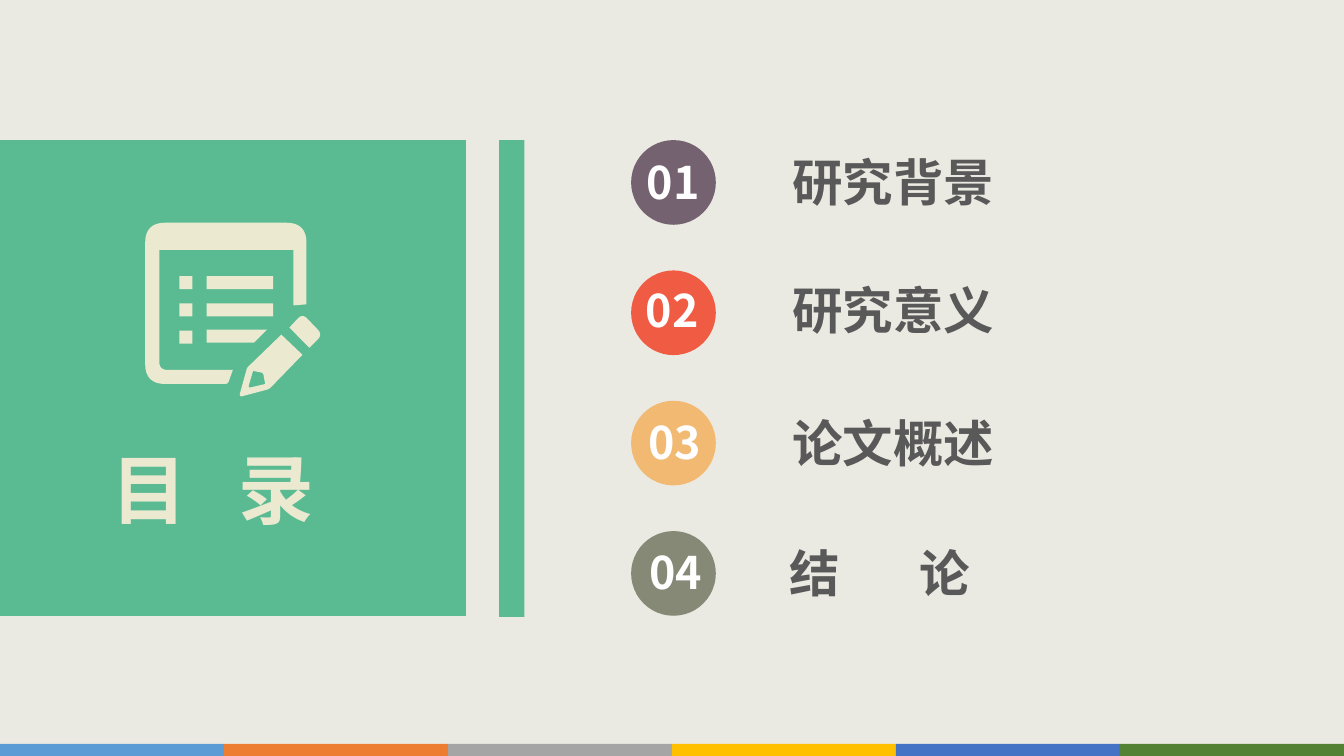
"""Build the contents slide of a thesis presentation."""
from lxml.etree import SubElement
from pptx import Presentation
from pptx.dml.color import RGBColor
from pptx.enum.shapes import MSO_SHAPE
from pptx.enum.text import PP_ALIGN
from pptx.oxml.ns import qn
from pptx.util import Inches
from pptx.util import Pt
from dataclasses import dataclass
from math import dist


@dataclass(frozen=True)
class Theme:
    font: str = "Noto Sans CJK SC"
    background: str = "EBEAE2"
    panel: str = "5ABB93"
    cream: str = "EBE9D0"
    body: str = "595959"
    white: str = "FFFFFF"
    title_size: int = 54
    item_size: int = 36
    number_size: int = 32
    strip: tuple = ("5B9BD5", "ED7D31", "A5A5A5", "FFC000", "4472C4", "548235")


THEME = Theme()
WIDTH, HEIGHT = 13.33, 7.5
STRIP_HEIGHT = 0.12
PANELS = [(0, 1.39, 4.62, 4.72), (4.95, 1.39, 0.25, 4.73)]
TITLE = ("目\t录", 1.01, 4.34, 1.26)
ITEM_TAB = 1.29
BADGE_LEFT, BADGE_TOP, BADGE_SIZE, BADGE_STEP = 6.26, 1.39, 0.84, 1.293
ITEMS = [
    ("01", "756271", (6.28, 1.49), "研究背景", (7.76, 1.45)),
    ("02", "EF5B43", (6.27, 2.76), "研究意义", (7.76, 2.72)),
    ("03", "F2B973", (6.29, 4.07), "论文概述", (7.76, 4.04)),
    ("04", "858976", (6.3, 5.35), "结\t论", (7.73, 5.33)),
]

# Each corner is x, y and rounding radius.
ICON_OUTLINES = [
    [[(2.31, 3.67, 0), (2.26, 3.81, 0.03), (1.44, 3.81, 0.2), (1.44, 2.21, 0.2),
      (3.04, 2.21, 0.2), (3.04, 3.02, 0), (2.91, 3.03, 0), (2.91, 2.48, 0),
      (1.58, 2.48, 0), (1.58, 3.67, 0.08)]],
    [[(2.79, 3.32, 0), (3, 3.52, 0), (2.67, 3.86, 0.03), (2.37, 3.94, 0.04),
      (2.45, 3.65, 0.02)],
     [(2.51, 3.68, 0), (2.46, 3.85, 0.03), (2.63, 3.81, 0), (2.61, 3.7, 0.02)]],
    [[(2.87, 3.25, 0), (3, 3.11, 0.07), (3.2, 3.32, 0.07), (3.07, 3.45, 0)]],
    [[(2.05, 3.27, 0), (2.65, 3.27, 0), (2.52, 3.4, 0), (2.05, 3.4, 0)]],
]
ROW_TOPS = (2.74, 3.01, 3.28)
ROW_SIZE, BULLET_LEFT, BAR_LEFT, BAR_WIDTH = 0.13, 1.78, 2.05, 0.66


def paint(sp, color):
    sp.shadow.inherit = False
    sp.fill.solid()
    sp.fill.fore_color.rgb = RGBColor.from_string(color)
    sp.line.fill.background()


def add_block(s, box, color, kind=MSO_SHAPE.RECTANGLE):
    sp = s.shapes.add_shape(kind, *map(Inches, box))
    paint(sp, color)


def toward(start, end, length):
    t = length / dist(start, end)
    return tuple(a + (b - a) * t for a, b in zip(start, end))


def round_corners(corners, steps=8):
    points = []
    for i, (x, y, radius) in enumerate(corners):
        corner = (x, y)
        if not radius:
            points.append(corner)
            continue
        a = toward(corner, corners[i - 1][:2], radius)
        b = toward(corner, corners[(i + 1) % len(corners)][:2], radius)
        for t in (n / steps for n in range(steps + 1)):
            points.append(tuple((1 - t) ** 2 * p + 2 * t * (1 - t) * q + t * t * r
                                for p, q, r in zip(a, corner, b)))
    return [tuple(map(Inches, point)) for point in points]


def add_outline(s, contours, color):
    first, *holes = map(round_corners, contours)
    builder = s.shapes.build_freeform(*first[0])
    builder.add_line_segments(first[1:], close=True)
    for hole in holes:
        builder.move_to(*hole[0])
        builder.add_line_segments(hole[1:], close=True)
    paint(builder.convert_to_shape(), color)


def add_text(s, text, box, size, color, align=PP_ALIGN.LEFT, tab=None):
    tf = s.shapes.add_textbox(*map(Inches, box)).text_frame
    tf.word_wrap = True
    p = tf.paragraphs[0]
    p.alignment = align
    if tab:
        tabs = SubElement(p._p.get_or_add_pPr(), qn("a:tabLst"))
        SubElement(tabs, qn("a:tab"), pos=str(Inches(tab)), algn="l")
    r = p.add_run()
    r.text = text
    font = r.font
    font.size, font.bold, font.name = Pt(size), True, THEME.font
    font.color.rgb = RGBColor.from_string(color)
    SubElement(r._r.get_or_add_rPr(), qn("a:ea"), typeface=THEME.font)


prs = Presentation()
prs.slide_width, prs.slide_height = Inches(WIDTH), Inches(HEIGHT)
s = prs.slides.add_slide(prs.slide_layouts[6])
s.background.fill.solid()
s.background.fill.fore_color.rgb = RGBColor.from_string(THEME.background)

strip_width = WIDTH / len(THEME.strip)
for i, color in enumerate(THEME.strip):
    add_block(s, (i * strip_width, HEIGHT - STRIP_HEIGHT, strip_width, STRIP_HEIGHT), color)
for box in PANELS:
    add_block(s, box, THEME.panel)

for contours in ICON_OUTLINES:
    add_outline(s, contours, THEME.cream)
for top in ROW_TOPS:
    add_block(s, (BULLET_LEFT, top, ROW_SIZE, ROW_SIZE), THEME.cream)
for top in ROW_TOPS[:2]:
    add_block(s, (BAR_LEFT, top, BAR_WIDTH, ROW_SIZE), THEME.cream)

title, left, top, tab = TITLE
add_text(s, title, (left, top, 2.4, 1.01), THEME.title_size, THEME.cream, tab=tab)

for i, (number, color, number_at, label, label_at) in enumerate(ITEMS):
    badge = (BADGE_LEFT, BADGE_TOP + i * BADGE_STEP, BADGE_SIZE, BADGE_SIZE)
    add_block(s, badge, color, MSO_SHAPE.OVAL)
    add_text(s, number, (*number_at, 0.8, 0.64), THEME.number_size, THEME.white,
             PP_ALIGN.CENTER)
    add_text(s, label, (*label_at, 2.27, 0.71), THEME.item_size, THEME.body,
             tab=ITEM_TAB if "\t" in label else None)

prs.save("out.pptx")
